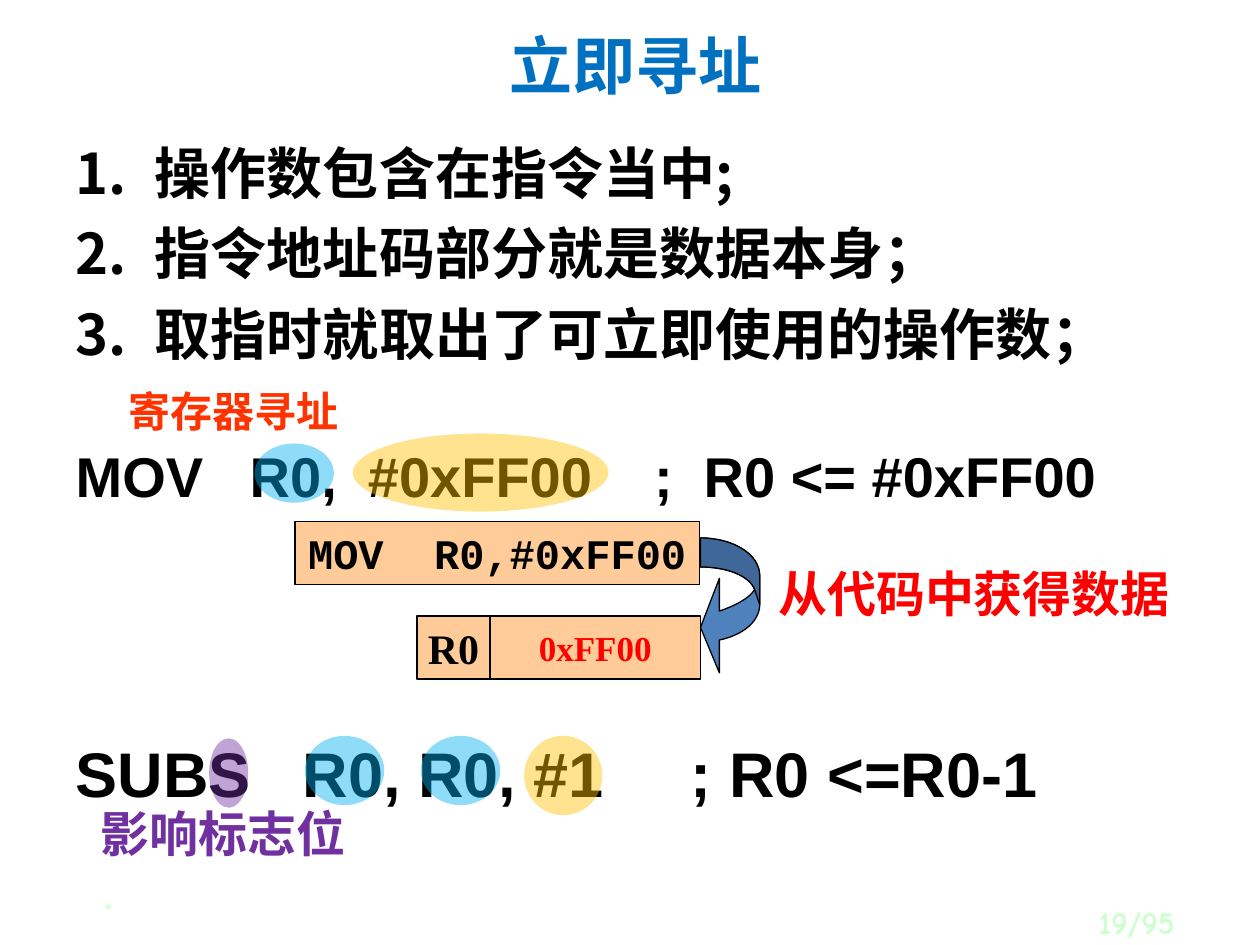
import pptx
import pptx.dml.color
import pptx.enum.shapes
import pptx.enum.text
import pptx.oxml
import pptx.oxml.ns
import pptx.util

Inches, Pt = pptx.util.Inches, pptx.util.Pt
RGBColor = pptx.dml.color.RGBColor
Align = pptx.enum.text.PP_ALIGN
Anchor = pptx.enum.text.MSO_ANCHOR
Preset = pptx.enum.shapes.MSO_SHAPE

BLACK = RGBColor(0x00, 0x00, 0x00)
TITLE_BLUE = RGBColor(0x00, 0x70, 0xC0)
RED = RGBColor(0xFF, 0x00, 0x00)
ORANGE_RED = RGBColor(0xFF, 0x33, 0x00)
PURPLE = RGBColor(0x70, 0x30, 0xA0)
PEACH = RGBColor(0xFF, 0xCC, 0x99)
SKY = RGBColor(0x00, 0xB0, 0xF0)
AMBER = RGBColor(0xFF, 0xC0, 0x00)
ARROW_BLUE = RGBColor(0x4F, 0x81, 0xBD)
ARROW_DARK = RGBColor(0x3F, 0x67, 0x97)
PALE_GREEN = RGBColor(0xCD, 0xFF, 0xCD)

CJK, CODE, SERIF = "Noto Sans CJK SC", "Courier New", "Times New Roman"
SANS, COMIC = "Arial", "Comic Neue"


def add_xml(parent, tag, **attributes):
    child = pptx.oxml.parse_xml(
        f'<a:{tag} xmlns:a="http://schemas.openxmlformats.org/drawingml/2006/main"/>')
    for key, value in attributes.items():
        child.set(key, str(value))
    parent.append(child)


def write(paragraph, text, size=24, font=CJK, color=BLACK, align=Align.LEFT,
          hanging=None, before=0, spacing=None):
    """Put one formatted run into a paragraph."""
    if hanging is not None:
        properties = paragraph._p.get_or_add_pPr()
        properties.set("marL", str(Inches(hanging)))
        properties.set("indent", str(-Inches(hanging)))
        add_xml(properties, "buNone")
    paragraph.alignment = align
    paragraph.space_before = Pt(before)
    if spacing is not None:
        paragraph.line_spacing = spacing
    run = paragraph.add_run()
    run.text = text
    run.font.size, run.font.name, run.font.bold = Pt(size), font, True
    run.font.color.rgb = color
    add_xml(run._r.get_or_add_rPr(), "ea", typeface=font)


def curve(start, first, second, end, steps=16):
    """Points along a cubic curve, without its start."""
    points = []
    for step in range(1, steps + 1):
        t = step / steps
        weights = ((1 - t) ** 3, 3 * t * (1 - t) ** 2, 3 * t ** 2 * (1 - t), t ** 3)
        points.append(tuple(sum(w * p[axis] for w, p in zip(
            weights, (start, first, second, end))) for axis in (0, 1)))
    return points


class SlideBuilder:
    def __init__(self, slide):
        self.slide = slide
        self.shapes = slide.shapes

    def place(self, shape, left, top, width, height):
        shape.left, shape.top = Inches(left), Inches(top)
        shape.width, shape.height = Inches(width), Inches(height)

    def placeholder(self, index, box, lines, anchor):
        shape = self.slide.placeholders[index]
        self.place(shape, *box)
        frame = shape.text_frame
        frame.word_wrap = True
        frame.auto_size = pptx.enum.text.MSO_AUTO_SIZE.NONE
        frame.vertical_anchor = anchor
        for number, (text, style) in enumerate(lines):
            paragraph = frame.add_paragraph() if number else frame.paragraphs[0]
            write(paragraph, text, **style)

    def label(self, box, text, anchor=Anchor.TOP, **style):
        frame = self.shapes.add_textbox(*map(Inches, box)).text_frame
        frame.word_wrap = True
        frame.vertical_anchor = anchor
        write(frame.paragraphs[0], text, **style)

    def paint(self, shape, fill, outlined=True):
        shape.shadow.inherit = False
        shape.fill.solid()
        shape.fill.fore_color.rgb = fill
        if outlined:
            shape.line.color.rgb = BLACK
            shape.line.width = Pt(0.75)
        else:
            shape.line.fill.background()

    def cell(self, box, text, **style):
        shape = self.shapes.add_shape(Preset.RECTANGLE, *map(Inches, box))
        self.paint(shape, PEACH)
        frame = shape.text_frame
        frame.word_wrap = False
        frame.vertical_anchor = Anchor.MIDDLE
        write(frame.paragraphs[0], text, align=Align.CENTER, **style)

    def highlight(self, box, color):
        shape = self.shapes.add_shape(Preset.OVAL, *map(Inches, box))
        self.paint(shape, color, outlined=False)
        tint = shape.fill._xPr.find(".//" + pptx.oxml.ns.qn("a:srgbClr"))
        add_xml(tint, "alpha", val=44000)

    def outline(self, points, color):
        start, *rest = [(Inches(x), Inches(y)) for x, y in points]
        builder = self.shapes.build_freeform(*start)
        builder.add_line_segments(rest, close=True)
        self.paint(builder.convert_to_shape(), color)


def main():
    deck = pptx.Presentation()
    deck.slide_width, deck.slide_height = Inches(10), Inches(7.5)
    page = SlideBuilder(deck.slides.add_slide(deck.slide_layouts[1]))

    # Title, numbered points and the two instructions
    page.placeholder(0, (0.23, 0.08, 9.63, 0.86), [
        ("立即寻址", dict(size=36, color=TITLE_BLUE, align=Align.CENTER))], Anchor.MIDDLE)
    point = dict(size=32, hanging=0.63, spacing=Pt(46))
    page.placeholder(1, (0.5, 0.94, 9.27, 5.6), [
        ("1.\t操作数包含在指令当中;", point),
        ("2.\t指令地址码部分就是数据本身；", point),
        ("3.\t取指时就取出了可立即使用的操作数；", point),
        ("MOV   R0,  #0xFF00    ;  R0 <= #0xFF00",
         dict(size=32, font=SANS, hanging=0.63, before=43)),
        ("SUBS   R0, R0, #1     ; R0 <=R0-1",
         dict(size=36, font=SANS, hanging=0.63, before=129)),
    ], Anchor.TOP)

    # Instruction word and the register it loads
    page.cell((2.34, 4.14, 3.21, 0.5), "MOV  R0,#0xFF00", font=CODE)
    page.cell((3.31, 4.89, 0.58, 0.5), "R0", font=SERIF)
    page.cell((3.89, 4.89, 1.67, 0.5), "0xFF00", size=20, font=SERIF, color=RED)

    # Curved arrow: lit head, then the shaded upper band
    tail_top, tail_bottom = (5.56, 4.27), (5.56, 4.5)
    bend_top, bend_bottom = (6.03, 4.57), (6.03, 4.8)
    fold = (5.99, 4.68)
    upper = [tail_top] + curve(tail_top, (5.82, 4.27), (6.03, 4.4), bend_top)
    lower = curve(fold, (5.95, 4.57), (5.77, 4.5), tail_bottom)
    head = (curve(bend_bottom, (6.03, 4.93), (5.9, 5.04), (5.71, 5.08))
            + [(5.71, 5.34), (5.56, 4.98), (5.71, 4.59), (5.71, 4.85)]
            + curve((5.71, 4.85), (5.8, 4.82), (5.94, 4.76), fold))
    page.outline(upper + [bend_bottom] + head + lower, ARROW_BLUE)
    page.outline(upper + [bend_bottom, fold] + lower, ARROW_DARK)

    # Explanations
    page.label((5.93, 4.22, 3.6, 0.97), "从代码中获得数据", size=28, color=RED,
               anchor=Anchor.MIDDLE, align=Align.CENTER)
    page.label((0.7, 6.33, 2.5, 0.57), "影响标志位", size=28, color=PURPLE)
    page.label((0.92, 3.01, 2.2, 0.5), "寄存器寻址", color=ORANGE_RED)

    # Highlights over the operands and the flag suffix
    for box, color in [
        ((2.02, 3.52, 0.63, 0.47), SKY),
        ((2.42, 5.84, 0.63, 0.55), SKY),
        ((3.34, 5.84, 0.63, 0.55), SKY),
        ((2.8, 3.44, 2.03, 0.62), AMBER),
        ((4.16, 5.84, 0.62, 0.63), AMBER),
        ((1.66, 5.86, 0.31, 0.55), PURPLE),
    ]:
        page.highlight(box, color)

    # Footer mark and page number
    page.label((0, 7.11, 1.72, 0.31), "*", size=12.4, font=COMIC,
               color=PALE_GREEN, align=Align.CENTER, spacing=0.8)
    page.label((8.4, 7.13, 1.02, 0.37), "19/95", size=18, font=COMIC,
               color=PALE_GREEN, align=Align.RIGHT, anchor=Anchor.MIDDLE)

    deck.save("out.pptx")


if __name__ == "__main__":
    main()
